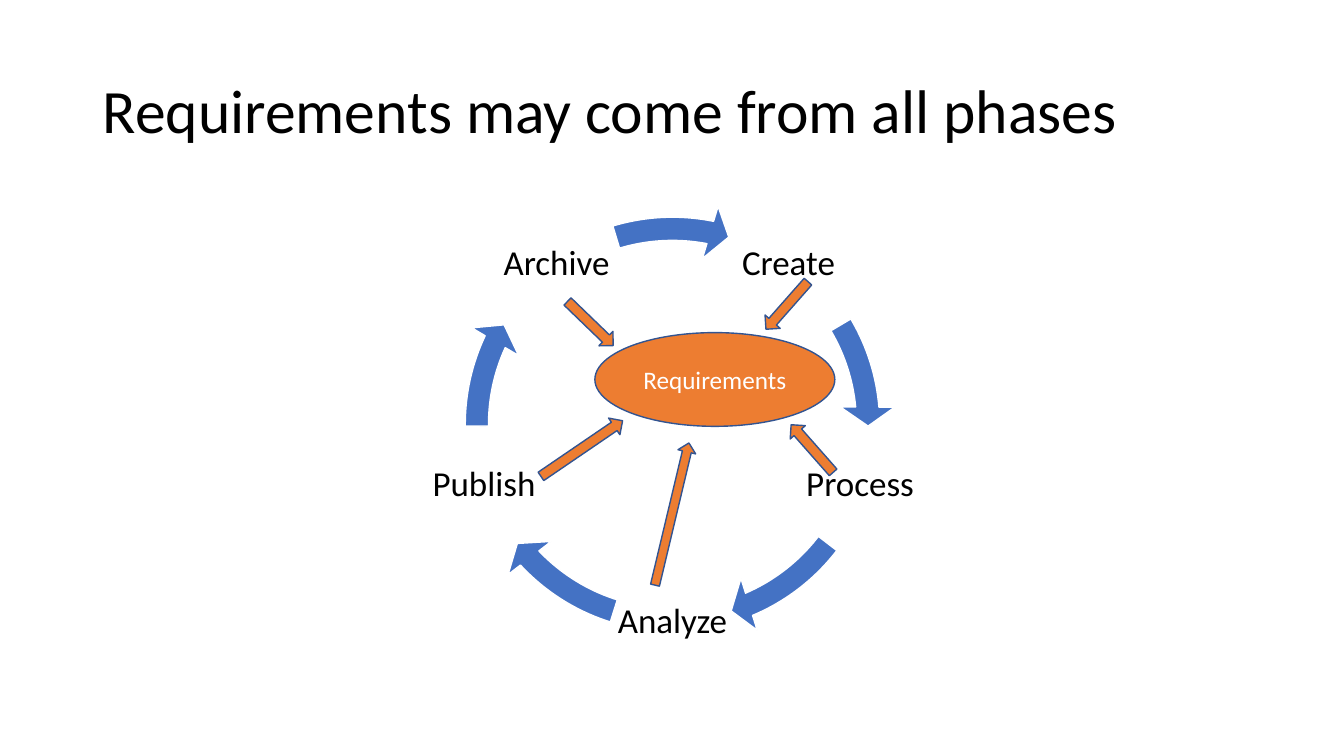
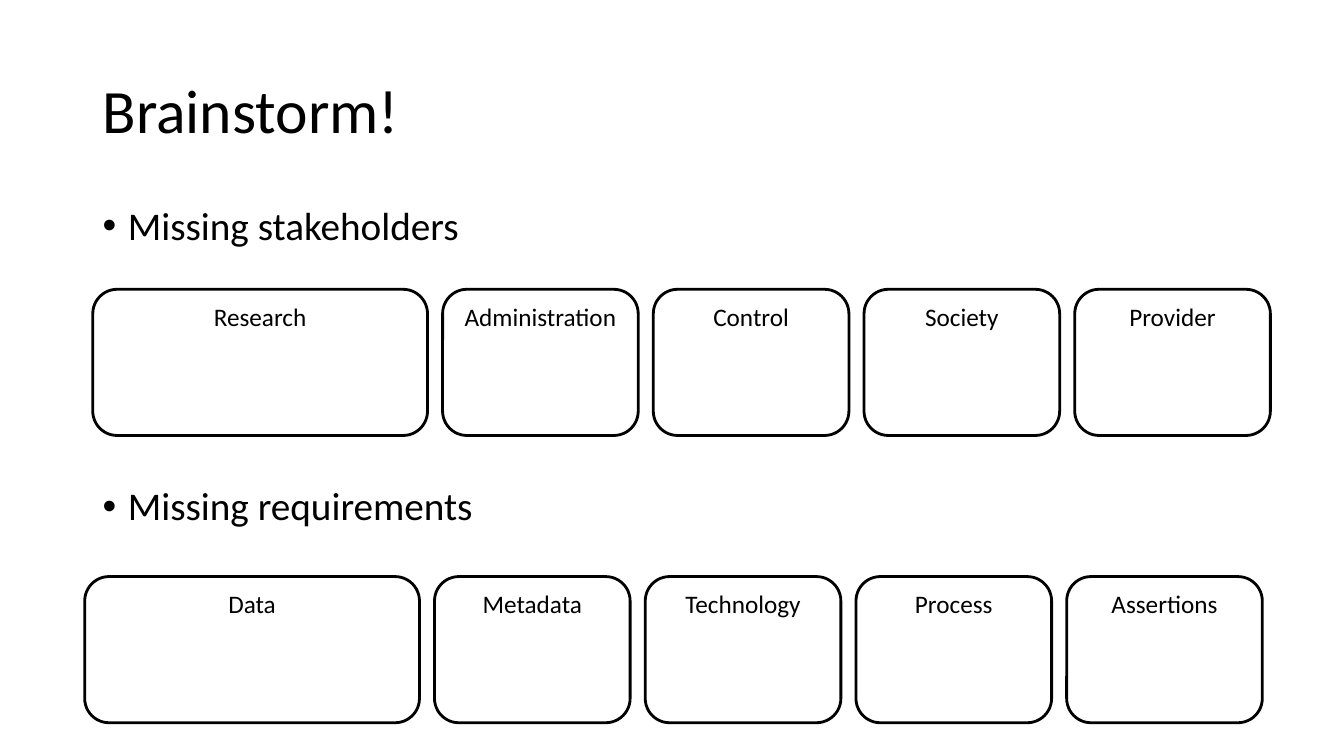
from dataclasses import dataclass

from lxml.etree import SubElement
from pptx import Presentation
from pptx.dml.color import RGBColor
from pptx.enum.shapes import MSO_SHAPE
from pptx.enum.text import MSO_ANCHOR, PP_ALIGN
from pptx.oxml.ns import qn
from pptx.util import Inches, Pt


@dataclass(frozen=True)
class Theme:
    """Colours, font and type sizes shared by the slides."""

    ink: str = "000000"
    paper: str = "FFFFFF"
    cycle: str = "4472C4"
    accent: str = "ED7D31"
    accent_edge: str = "325491"
    font: str = "Calibri"
    title_size: int = 44
    bullet_size: int = 28
    phase_size: int = 25
    label_size: int = 18
    line_spacing: float = 0.9


THEME = Theme()


def add_span(para, text, size, color=THEME.ink):
    """Add one run of text to a paragraph."""
    span = para.add_run()
    span.text = text
    span.font.name = THEME.font
    span.font.size = Pt(size)
    span.font.color.rgb = RGBColor.from_string(color)


def add_box(page, left, top, width, height, anchor=MSO_ANCHOR.TOP):
    """Add an empty wrapping text box and return its frame."""
    box = page.shapes.add_textbox(Inches(left), Inches(top), Inches(width), Inches(height))
    frame = box.text_frame
    frame.word_wrap = True
    frame.vertical_anchor = anchor
    return frame


def add_figure(page, kind, left, top, width, height, fill, edge, edge_width=1):
    """Add a preset shape, unfilled when fill is None."""
    figure = page.shapes.add_shape(kind, Inches(left), Inches(top), Inches(width), Inches(height))
    figure.shadow.inherit = False
    if fill:
        figure.fill.solid()
        figure.fill.fore_color.rgb = RGBColor.from_string(fill)
    else:
        figure.fill.background()
    figure.line.color.rgb = RGBColor.from_string(edge)
    figure.line.width = Pt(edge_width)
    return figure


def add_label(figure, text, color, anchor):
    """Write a centred label inside a shape."""
    frame = figure.text_frame
    frame.word_wrap = True
    frame.vertical_anchor = anchor
    para = frame.paragraphs[0]
    para.alignment = PP_ALIGN.CENTER
    add_span(para, text, THEME.label_size, color)


def add_page(deck, title):
    """Add a blank page with the shared title style."""
    page = deck.slides.add_slide(deck.slide_layouts[6])
    para = add_box(page, 0.92, 0.4, 11.5, 1.45, MSO_ANCHOR.MIDDLE).paragraphs[0]
    para.line_spacing = THEME.line_spacing
    add_span(para, title, THEME.title_size)
    return page


def add_phase(page, name, left, top):
    """Add the name of one phase of the cycle."""
    frame = add_box(page, left, top, 1.18, 1.18, MSO_ANCHOR.MIDDLE)
    frame.margin_left = frame.margin_right = Inches(0.03)
    frame.margin_top = frame.margin_bottom = Inches(0.03)
    para = frame.paragraphs[0]
    para.alignment = PP_ALIGN.CENTER
    para.line_spacing = THEME.line_spacing
    add_span(para, name, THEME.phase_size)


def add_cycle_arrow(page, start, end):
    """Add an arc arrow of the cycle between two angles in degrees."""
    size, band, head, head_angle = 4.42, 0.23, 0.27, 5.59
    arrow = add_figure(page, MSO_SHAPE.CIRCULAR_ARROW, 4.46, 2, size, size, THEME.cycle, THEME.paper)
    units_per_degree = 0.6
    values = (
        band / size,
        head_angle * units_per_degree,
        end * units_per_degree,
        start * units_per_degree,
        head / size,
    )
    for index, value in enumerate(values):
        arrow.adjustments[index] = value


def add_inward_arrow(page, left, top, width, height, rotation):
    """Add a block arrow pointing at the requirements."""
    arrow = add_figure(
        page, MSO_SHAPE.RIGHT_ARROW, left, top, width, height, THEME.accent, THEME.accent_edge
    )
    arrow.rotation = rotation


def add_bullets(page, texts, gap):
    """Add bullet paragraphs with a gap in points between them."""
    frame = add_box(page, 0.92, 2, 11.5, 4.76)
    for index, text in enumerate(texts):
        para = frame.add_paragraph() if index else frame.paragraphs[0]
        para.line_spacing = THEME.line_spacing
        if index:
            para.space_before = Pt(gap)
        props = para._p.get_or_add_pPr()
        props.set("marL", str(Inches(0.25)))
        props.set("indent", str(-Inches(0.25)))
        SubElement(props, qn("a:buFont")).set("typeface", "Arial")
        SubElement(props, qn("a:buChar")).set("char", "•")
        add_span(para, text, THEME.bullet_size)


def add_card_row(page, left, top, names):
    """Add a row of rounded cards whose first card is wider."""
    for index, name in enumerate(names):
        width = 1.94 if index else 3.32
        card = add_figure(
            page, MSO_SHAPE.ROUNDED_RECTANGLE, left, top, width, 1.45, None, THEME.ink, 2
        )
        add_label(card, name, THEME.ink, MSO_ANCHOR.TOP)
        left += width + 0.15


def build_phases(deck):
    """Build the page with the cycle of phases."""
    page = add_page(deck, "Requirements may come from all phases")
    phases = (
        ("Create", 7.23, 2.03, 329.41, 354.92),
        ("Process", 7.94, 4.22, 37.52, 66.95),
        ("Analyze", 6.08, 5.58, 107.46, 136.89),
        ("Publish", 4.21, 4.22, 179.49, 205),
        ("Archive", 4.93, 2.03, 253.28, 281.13),
    )
    for name, left, top, start, end in phases:
        add_phase(page, name, left, top)
        add_cycle_arrow(page, start, end)
    inward_arrows = (
        (5.28, 4.35, 0.98, 0.2, 325.7),
        (5.94, 5.01, 1.45, 0.18, 283.4),
        (7.49, 2.93, 0.63, 0.2, 131.4),
        (5.54, 3.11, 0.63, 0.2, 44),
        (7.74, 4.35, 0.63, 0.2, 228.6),
    )
    for arrow in inward_arrows:
        add_inward_arrow(page, *arrow)
    hub = add_figure(page, MSO_SHAPE.OVAL, 5.9, 3.3, 2.38, 0.93, THEME.accent, THEME.accent_edge)
    add_label(hub, "Requirements", THEME.paper, MSO_ANCHOR.MIDDLE)


def build_brainstorm(deck):
    """Build the page with two rows of cards to fill in."""
    page = add_page(deck, "Brainstorm!")
    add_bullets(page, ("Missing stakeholders", "Missing requirements"), 170)
    add_card_row(
        page, 0.92, 2.87, ("Research", "Administration", "Control", "Society", "Provider")
    )
    add_card_row(
        page, 0.84, 5.72, ("Data", "Metadata", "Technology", "Process", "Assertions")
    )


def main():
    """Build and save the deck."""
    deck = Presentation()
    deck.slide_width = Inches(13.33)
    deck.slide_height = Inches(7.5)
    build_phases(deck)
    build_brainstorm(deck)
    deck.save("out.pptx")


if __name__ == "__main__":
    main()
